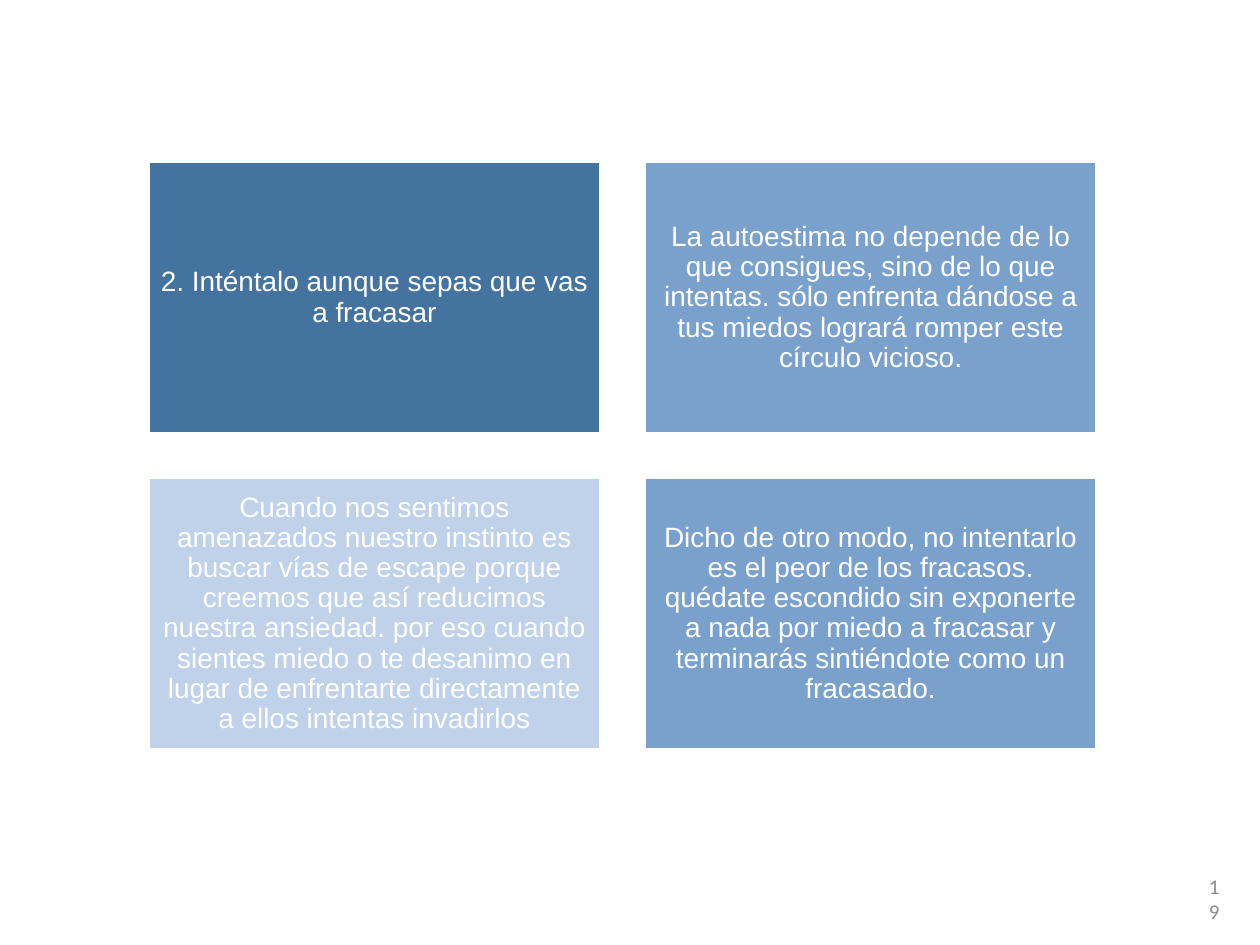
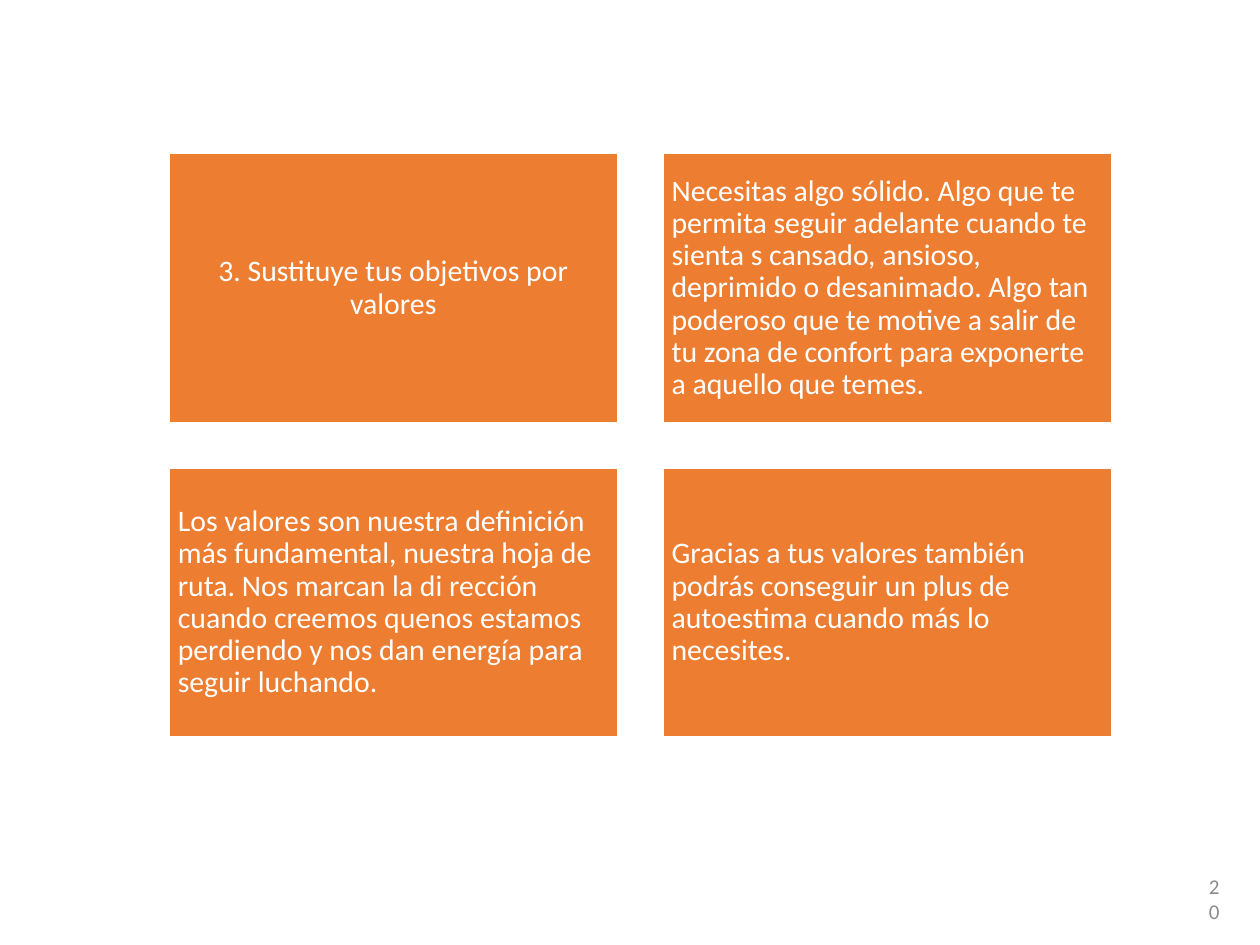
from pptx import Presentation
from pptx.dml.color import RGBColor
from pptx.enum.shapes import MSO_SHAPE as Shape
from pptx.enum.text import MSO_ANCHOR as Anchor, PP_ALIGN as Align
from pptx.util import Pt

WHITE, GREY, ORANGE = "FFFFFF", "8C8C8C", "ED7D31"
DARK_BLUE, MID_BLUE, PALE_BLUE = "43739E", "7AA1CC", "C0D2EA"
COLUMNS = 2
HEIGHT_RATIO, GAP_RATIO, INSET_RATIO = 0.6, 0.1, 0.3

topics = [
    dict(
        number="19", left=85, top=92.9, width=257.8, font="Arial", size=16,
        body_align=Align.CENTER,
        cards=[
            (DARK_BLUE, "2. Inténtalo aunque sepas que vas a fracasar"),
            (MID_BLUE, "La autoestima no depende de lo que consigues, sino de lo que "
                       "intentas. sólo enfrenta dándose a tus miedos logrará romper "
                       "este círculo vicioso."),
            (PALE_BLUE, "Cuando nos sentimos amenazados nuestro instinto es buscar vías "
                        "de escape porque creemos que así reducimos nuestra ansiedad. por "
                        "eso cuando sientes miedo o te desanimo en lugar de enfrentarte "
                        "directamente a ellos intentas invadirlos"),
            (MID_BLUE, "Dicho de otro modo, no intentarlo es el peor de los "
                       "fracasos. quédate escondido sin exponerte a nada por miedo a "
                       "fracasar y terminarás sintiéndote como un fracasado."),
        ],
    ),
    dict(
        number="20", left=96.5, top=87.8, width=256.5, font="Calibri", size=17,
        body_align=Align.LEFT,
        cards=[
            (ORANGE, "3. Sustituye tus objetivos por valores"),
            (ORANGE, "Necesitas algo sólido. Algo que te permita seguir adelante "
                     "cuando te sienta s cansado, ansioso, deprimido o desanimado. Algo "
                     "tan poderoso que te motive a salir de tu zona de confort para "
                     "exponerte a aquello que temes."),
            (ORANGE, "Los valores son nuestra definición  más fundamental, nuestra hoja "
                     "de ruta. Nos marcan la di rección cuando creemos quenos estamos "
                     "perdiendo y nos dan energía para seguir luchando."),
            (ORANGE, "Gracias a tus valores también podrás conseguir un plus de "
                     "autoestima cuando más lo necesites."),
        ],
    ),
]


def rgb(value):
    return RGBColor.from_string(value)


def write(shape, text, font, size, color, align, inset):
    frame = shape.text_frame
    settings = dict(word_wrap=True, vertical_anchor=Anchor.MIDDLE)
    settings.update({f"margin_{side}": Pt(inset)
                     for side in ("left", "top", "right", "bottom")})
    for name, value in settings.items():
        setattr(frame, name, value)
    paragraph = frame.paragraphs[0]
    paragraph.alignment = align
    run = paragraph.add_run()
    run.text = text
    run.font.name = font
    run.font.size = Pt(size)
    run.font.color.rgb = rgb(color)
    return paragraph


deck = Presentation()
deck.slide_width, deck.slide_height = Pt(720), Pt(540)
blank = deck.slide_layouts[6]

for topic in topics:
    slide = deck.slides.add_slide(blank)
    page_number = slide.shapes.add_textbox(Pt(685.4), Pt(505.4), Pt(11.5), Pt(16.6))
    write(page_number, topic["number"], "Calibri", 12, GREY, Align.RIGHT, 0)

    width, size = topic["width"], topic["size"]
    height, gap = width * HEIGHT_RATIO, width * GAP_RATIO
    for index, (fill, text) in enumerate(topic["cards"]):
        row, column = divmod(index, COLUMNS)
        card = slide.shapes.add_shape(
            Shape.RECTANGLE,
            Pt(topic["left"] + column * (width + gap)),
            Pt(topic["top"] + row * (height + gap)),
            Pt(width), Pt(height))
        card.shadow.inherit = False
        card.fill.solid()
        card.fill.fore_color.rgb = rgb(fill)
        card.line.color.rgb = rgb(WHITE)
        card.line.width = Pt(1)
        align = topic["body_align"] if index else Align.CENTER
        paragraph = write(card, text, topic["font"], size, WHITE, align,
                          size * INSET_RATIO)
        paragraph.line_spacing = 0.9

deck.save("out.pptx")
